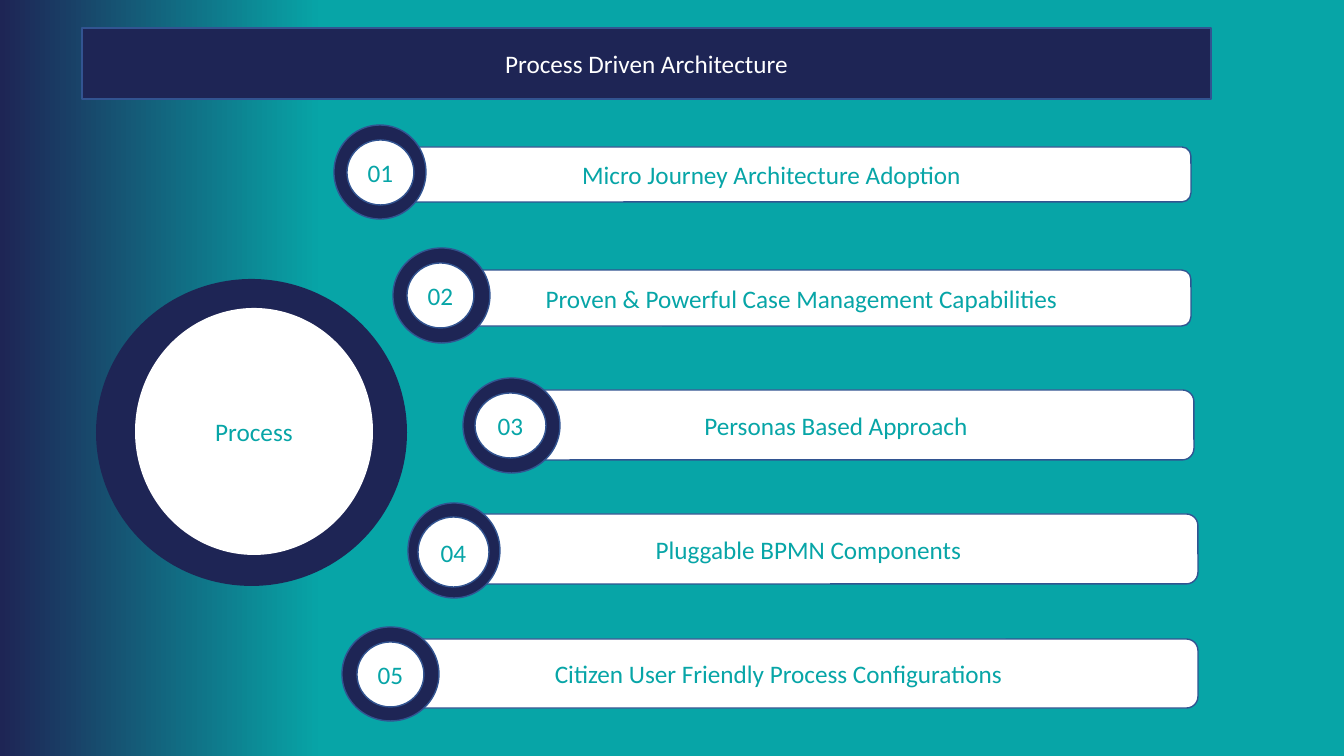
from pptx import Presentation
from pptx.dml.color import RGBColor
from pptx.enum.shapes import MSO_SHAPE
from pptx.enum.text import MSO_ANCHOR, MSO_AUTO_SIZE, PP_ALIGN
from pptx.util import Emu, Pt

RECTANGLE = MSO_SHAPE.ROUNDED_RECTANGLE
ELLIPSE = MSO_SHAPE.OVAL
MIDDLE = MSO_ANCHOR.MIDDLE
CENTER = PP_ALIGN.CENTER
NO_AUTOFIT = MSO_AUTO_SIZE.NONE

NAVY = RGBColor(0x1E, 0x25, 0x55)
TEAL = RGBColor(0x07, 0xA5, 0xA7)
BLUE = RGBColor(0x32, 0x54, 0x91)
WHITE = RGBColor(0xFF, 0xFF, 0xFF)

EMU_PER_PX = 914400 / 100.8


def px(*lengths):
    return [Emu(round(length * EMU_PER_PX)) for length in lengths]


def style(shape, fill, outline=None, text=None, text_color=TEAL):
    shape.fill.solid()
    shape.fill.fore_color.rgb = fill
    if outline is None:
        shape.line.fill.background()
    else:
        shape.line.color.rgb = outline
        shape.line.width = Pt(1)
    if text:
        frame = shape.text_frame
        frame.auto_size = NO_AUTOFIT
        frame.word_wrap = False
        frame.vertical_anchor = MIDDLE
        paragraph = frame.paragraphs[0]
        paragraph.alignment = CENTER
        run = paragraph.add_run()
        run.text = text
        run.font.name = "Calibri"
        run.font.size = Pt(18)
        run.font.color.rgb = text_color


presentation = Presentation()
presentation.slide_width, presentation.slide_height = px(1344, 756)
slide = presentation.slides.add_slide(presentation.slide_layouts[5])

# Background: navy on the left fading into teal
background = slide.background.fill
background.gradient()
background.gradient_angle = 180
for stop, (position, color) in zip(background.gradient_stops, [(0.76, TEAL), (1, NAVY)]):
    stop.position = position
    stop.color.rgb = color

# Title banner
title = slide.shapes.title
title.left, title.top, title.width, title.height = px(82, 28, 1129, 71)
style(title, NAVY, BLUE, "Process Driven Architecture", WHITE)

# Large process circle
process = slide.shapes.add_group_shape()
for box, fill, text in [
    ((96, 279, 311, 307), NAVY, None),
    ((135, 308, 238, 247), WHITE, "Process"),
]:
    circle = process.shapes.add_shape(ELLIPSE, *px(*box))
    circle.shadow.inherit = False
    style(circle, fill, text=text)

# Numbered items: label, then bar, ring and badge boxes
items = [
    ("Micro Journey Architecture Adoption",
     (352, 147, 839, 55), (334, 125, 92, 94), (347, 140, 67, 65)),
    ("Proven & Powerful Case Management Capabilities",
     (412, 270, 779, 56), (393, 248, 97, 95), (407, 263, 67, 65)),
    ("Personas Based Approach",
     (478, 390, 716, 70), (463, 378, 97, 95), (475, 393, 71, 65)),
    ("Pluggable BPMN Components",
     (419, 514, 779, 70), (408, 503, 92, 95), (418, 517, 71, 70)),
    ("Citizen User Friendly Process Configurations",
     (359, 639, 839, 69), (342, 627, 97, 94), (357, 642, 67, 65)),
]
for number, (label, bar, ring, badge) in enumerate(items, start=1):
    item = slide.shapes.add_group_shape()
    for kind, box, fill, text in [
        (RECTANGLE, bar, WHITE, label),
        (ELLIPSE, ring, NAVY, None),
        (ELLIPSE, badge, WHITE, f"{number:02d}"),
    ]:
        shape = item.shapes.add_shape(kind, *px(*box))
        shape.shadow.inherit = False
        style(shape, fill, BLUE, text)

presentation.save("out.pptx")
